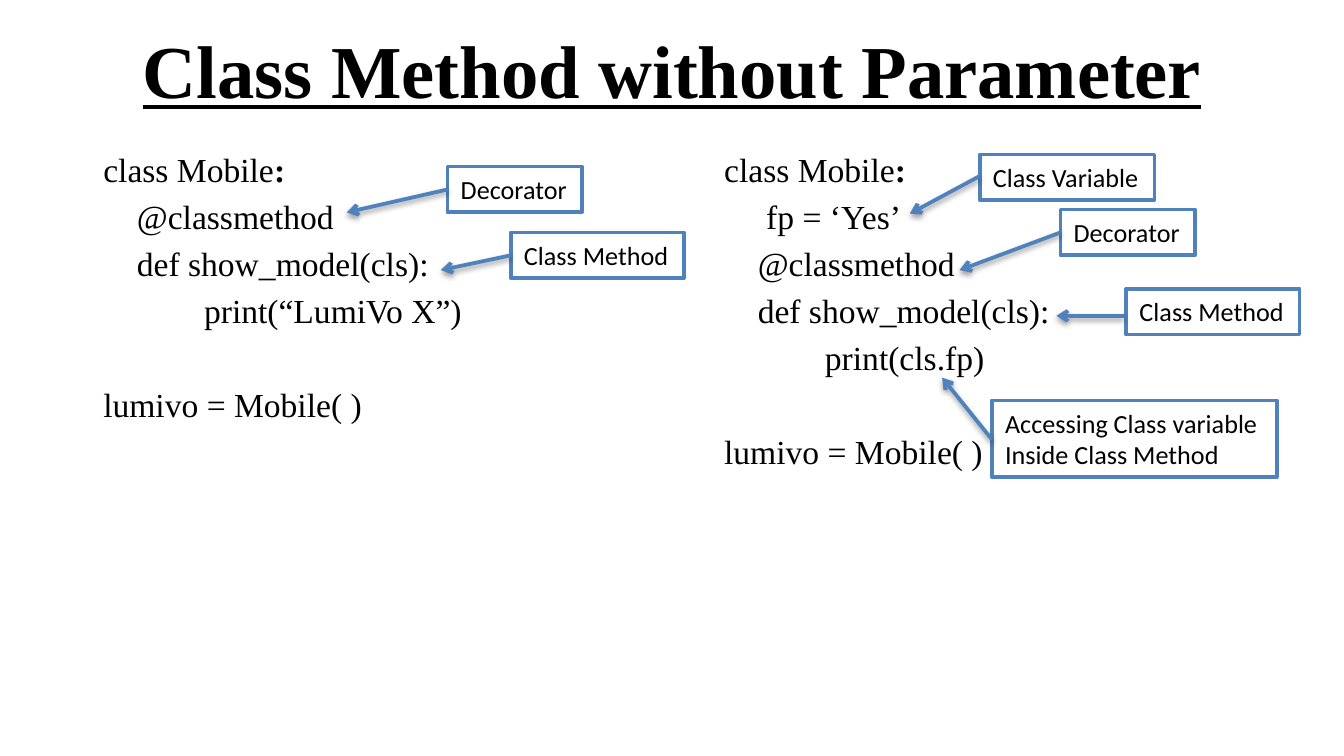
import pptx
import pptx.util
import pptx.dml.color
import pptx.enum.shapes
import pptx.enum.text
import pptx.oxml
import pptx.oxml.ns

Inches = pptx.util.Inches
Pt = pptx.util.Pt
Align = pptx.enum.text.PP_ALIGN
Anchor = pptx.enum.text.MSO_ANCHOR
Fit = pptx.enum.text.MSO_AUTO_SIZE

BLUE, WHITE, BLACK = "4F81BD", "FFFFFF", "000000"
SERIF, SANS = "Times New Roman", "Calibri"
SPACE = Pt(4.5)
GAP, PITCH = 3.6, 25.2

TITLE = "Class Method without Parameter"
CODES = [
    (0.67, 3.75, [
        (0, "class Mobile"), (4, "@classmethod"),
        (4, "def show_model(cls):"), (12, "print(“LumiVo X”)"),
        (0, "lumivo = Mobile( )")]),
    (5.29, 3.33, [
        (0, "class Mobile"), (5, "fp = ‘Yes’"), (4, "@classmethod"),
        (4, "def show_model(cls):"), (12, "print(cls.fp)"),
        (0, "lumivo = Mobile( )")]),
]
NOTES = [
    (["Class Method"], (8.38, 2.15, 1.29, 0.34), (8.36, 2.35), (7.86, 2.35)),
    (["Class Method"], (3.8, 1.73, 1.29, 0.34), (3.8, 1.9), (3.28, 2.01)),
    (["Class Variable"], (7.29, 1.15, 1.3, 0.34), (7.29, 1.31), (6.77, 1.59)),
    (["Decorator"], (3.33, 1.24, 1, 0.34), (3.33, 1.41), (2.58, 1.58)),
    (["Decorator"], (7.89, 1.56, 1, 0.34), (7.89, 1.73), (7.14, 2.01)),
    (["Accessing Class variable", "Inside Class Method"],
     (7.38, 2.98, 2.12, 0.57), (7.38, 3.27), (7.01, 2.81)),
]
SHADOW = (
    '<a:effectLst %s><a:outerShdw blurRad="%d" dist="%d" dir="5400000" '
    'rotWithShape="0"><a:srgbClr val="%s"><a:alpha val="38000"/></a:srgbClr>'
    '</a:outerShdw></a:effectLst>'
    % (pptx.oxml.ns.nsdecls("a"), Pt(3.1), Pt(1.6), BLACK))
ARROW = '<a:tailEnd %s type="arrow"/>' % pptx.oxml.ns.nsdecls("a")


def color(code):
    return pptx.dml.color.RGBColor.from_string(code)


def write(para, text, font=SERIF, size=18, bold=False, line=False,
          align=Align.LEFT):
    para.alignment = align
    run = para.add_run()
    run.text = text
    run.font.name = font
    run.font.size = Pt(size)
    run.font.bold = bold
    run.font.underline = line
    run.font.color.rgb = color(BLACK)


def place(shape, *box):
    shape.left, shape.top, shape.width, shape.height = map(Inches, box)


def rows(frame, count):
    while len(frame.paragraphs) < count:
        frame.add_paragraph()
    return frame.paragraphs


def code(slide, left, width, lines):
    box = slide.shapes.add_textbox(
        Inches(left), Inches(1.06), Inches(width), Inches(3.71))
    box.text_frame.word_wrap = True
    last = len(lines) - 1
    for num, para in enumerate(rows(box.text_frame, len(lines))):
        indent, text = lines[num]
        para.space_before = Pt(GAP + PITCH if num == last else GAP)
        props = para._p.get_or_add_pPr()
        props.set("marL", str(indent * SPACE))
        props.set("indent", "0")
        write(para, text)
        if num == 0:
            write(para, ":", bold=True)


def note(slide, lines, box, start, end):
    shape = slide.shapes.add_shape(
        pptx.enum.shapes.MSO_SHAPE.RECTANGLE, *map(Inches, box))
    shape.shadow.inherit = False
    shape.fill.solid()
    shape.fill.fore_color.rgb = color(WHITE)
    shape.line.color.rgb = color(BLUE)
    shape.line.width = Pt(2)
    frame = shape.text_frame
    frame.word_wrap = False
    frame.auto_size = Fit.SHAPE_TO_FIT_TEXT
    frame.vertical_anchor = Anchor.TOP
    for para, text in zip(rows(frame, len(lines)), lines):
        write(para, text, font=SANS, size=14)
    link = slide.shapes.add_connector(
        pptx.enum.shapes.MSO_CONNECTOR.STRAIGHT, *map(Inches, start + end))
    link.line.color.rgb = color(BLUE)
    link.line.width = Pt(2)
    link.line._get_or_add_ln().append(pptx.oxml.parse_xml(ARROW))
    link._element.spPr.append(pptx.oxml.parse_xml(SHADOW))


def main():
    deck = pptx.Presentation()
    deck.slide_width = Inches(10)
    deck.slide_height = deck.slide_width * 9 // 16
    slide = deck.slides.add_slide(deck.slide_layouts[5])
    title = slide.shapes.title
    place(title, 0.5, 0.04, 9, 0.94)
    title.text_frame.vertical_anchor = Anchor.MIDDLE
    write(title.text_frame.paragraphs[0], TITLE, size=40, bold=True,
          line=True, align=Align.CENTER)
    for item in CODES:
        code(slide, *item)
    for item in NOTES:
        note(slide, *item)
    deck.save("out.pptx")


if __name__ == "__main__":
    main()
